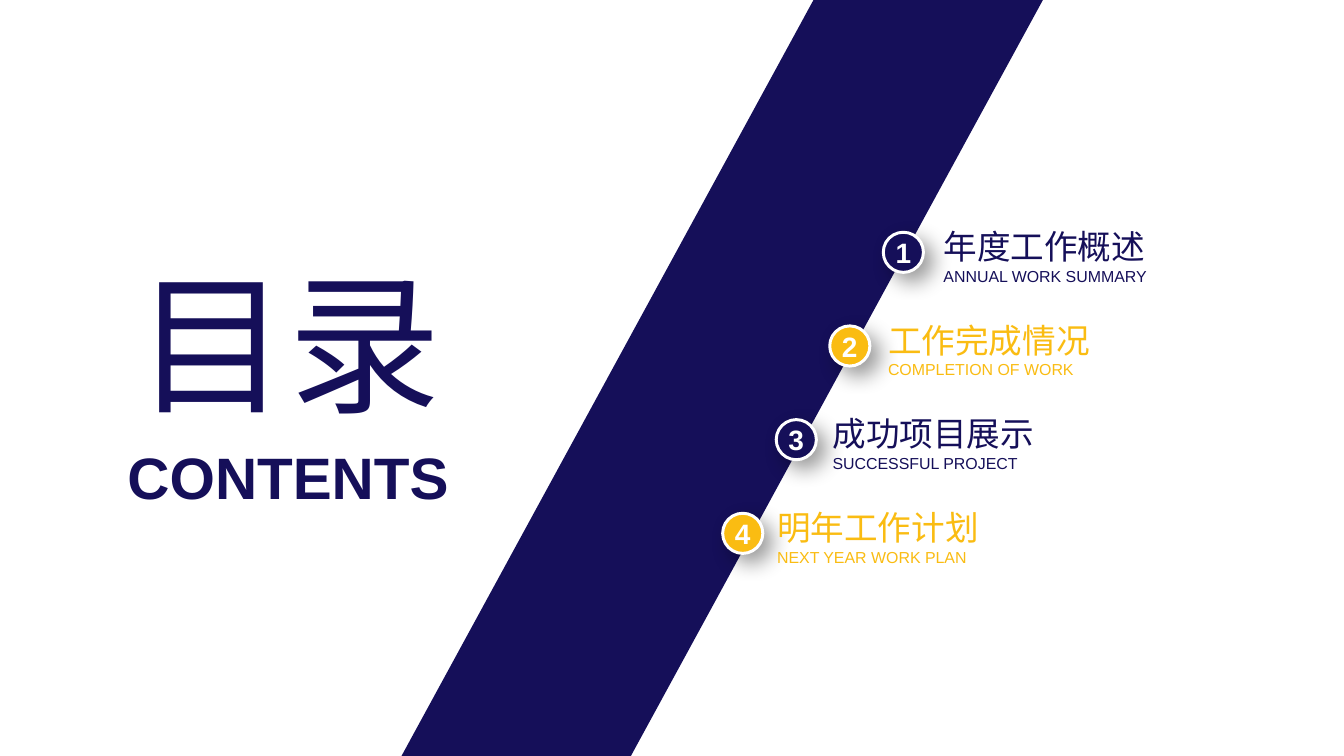
from pptx import Presentation
from pptx.dml.color import RGBColor
from pptx.enum.shapes import MSO_SHAPE as Shape
from pptx.enum.text import MSO_ANCHOR as Anchor, MSO_AUTO_SIZE as Fit, PP_ALIGN as Align
from pptx.oxml import parse_xml
from pptx.oxml.ns import nsdecls, qn
from pptx.util import Inches, Pt

NAVY, GOLD, WHITE = "150F59", "FABC12", "FFFFFF"
LATIN, HAN = "Arial", "Noto Sans CJK SC"


def paint(code):
    return RGBColor.from_string(code)


class Deck:
    """Holds the style and the current slide, and draws each kind of element."""

    def __init__(self, wide, high):
        self.show = Presentation()
        self.show.slide_width, self.show.slide_height = Inches(wide), Inches(high)
        self.slide = self.show.slides.add_slide(self.show.slide_layouts[5])
        self.shapes = self.slide.shapes

    def letter(self, shape, lines, color, align=Align.LEFT, anchor=Anchor.MIDDLE):
        frame = shape.text_frame
        look = dict(margin_left=0, margin_right=0, margin_top=0, margin_bottom=0,
                    word_wrap=True, auto_size=Fit.NONE, vertical_anchor=anchor)
        for name, value in look.items():
            setattr(frame, name, value)
        for i, (text, size, face, bold) in enumerate(lines):
            para = frame.add_paragraph() if i else frame.paragraphs[0]
            para.alignment = align
            run = para.add_run()
            run.text = text
            for name, value in dict(name=face, size=Pt(size), bold=bold).items():
                setattr(run.font, name, value)
            run.font.color.rgb = paint(color)
            run.font._element.append(parse_xml(f'<a:ea {nsdecls("a")} typeface="{HAN}"/>'))

    def title(self, box, line, color):
        shape = self.shapes.title
        for name, value in zip(("left", "top", "width", "height"), box):
            setattr(shape, name, Inches(value))
        self.letter(shape, [line], color, Align.CENTER)

    def text(self, box, lines, color, **look):
        self.letter(self.shapes.add_textbox(*map(Inches, box)), lines, color, **look)

    def band(self, points, color):
        first, *rest = [(Inches(x), Inches(y)) for x, y in points]
        pen = self.shapes.build_freeform(*first)
        pen.add_line_segments(rest)
        shape = pen.convert_to_shape()
        shape.shadow.inherit = False
        shape.fill.solid()
        shape.fill.fore_color.rgb = paint(color)
        shape.line.fill.background()

    def badge(self, box, line, color):
        shape = self.shapes.add_shape(Shape.OVAL, *map(Inches, box))
        shape.fill.solid()
        shape.fill.fore_color.rgb = paint(color)
        shape.line.color.rgb = paint(WHITE)
        shape.line.width = Pt(2.25)
        shape.shadow.inherit = False
        glow = shape._element.spPr.find(qn("a:effectLst"))
        glow.append(parse_xml(
            f'<a:outerShdw {nsdecls("a")} blurRad="{Pt(16)}" dist="{Pt(9)}" dir="2700000" '
            'algn="tl" rotWithShape="0"><a:srgbClr val="000000">'
            '<a:alpha val="40000"/></a:srgbClr></a:outerShdw>'))
        self.letter(shape, [line], WHITE, Align.CENTER)


def main():
    deck = Deck(14.06, 7.91)
    deck.title((1.33, 2.59, 3.37, 1.94), ("目录", 115, HAN, False), NAVY)
    deck.text((1.21, 4.62, 3.61, 0.74), [("CONTENTS", 44, LATIN, True)], NAVY,
              align=Align.CENTER, anchor=Anchor.TOP)
    deck.band([(10.91, 0), (8.51, 0), (4.2, 7.91), (6.6, 7.91)], NAVY)
    topics = [
        ("年度工作概述", "ANNUAL WORK SUMMARY"),
        ("工作完成情况", "COMPLETION OF WORK"),
        ("成功项目展示", "SUCCESSFUL PROJECT"),
        ("明年工作计划", "NEXT YEAR WORK PLAN"),
    ]
    for i, (head, sub) in enumerate(topics):
        color = GOLD if i % 2 else NAVY
        drop = 0.98 * i
        deck.badge((9.24 - 0.56 * i, 2.43 + drop, 0.42, 0.42),
                   (str(i + 1), 21.1, LATIN, True), color)
        deck.text((9.87 - 0.58 * i, 2.36 + drop, 2.46, 0.63),
                  [(head, 25.3, LATIN, False), (sub, 12, LATIN, False)], color)
    deck.show.save("out.pptx")


if __name__ == "__main__":
    main()
